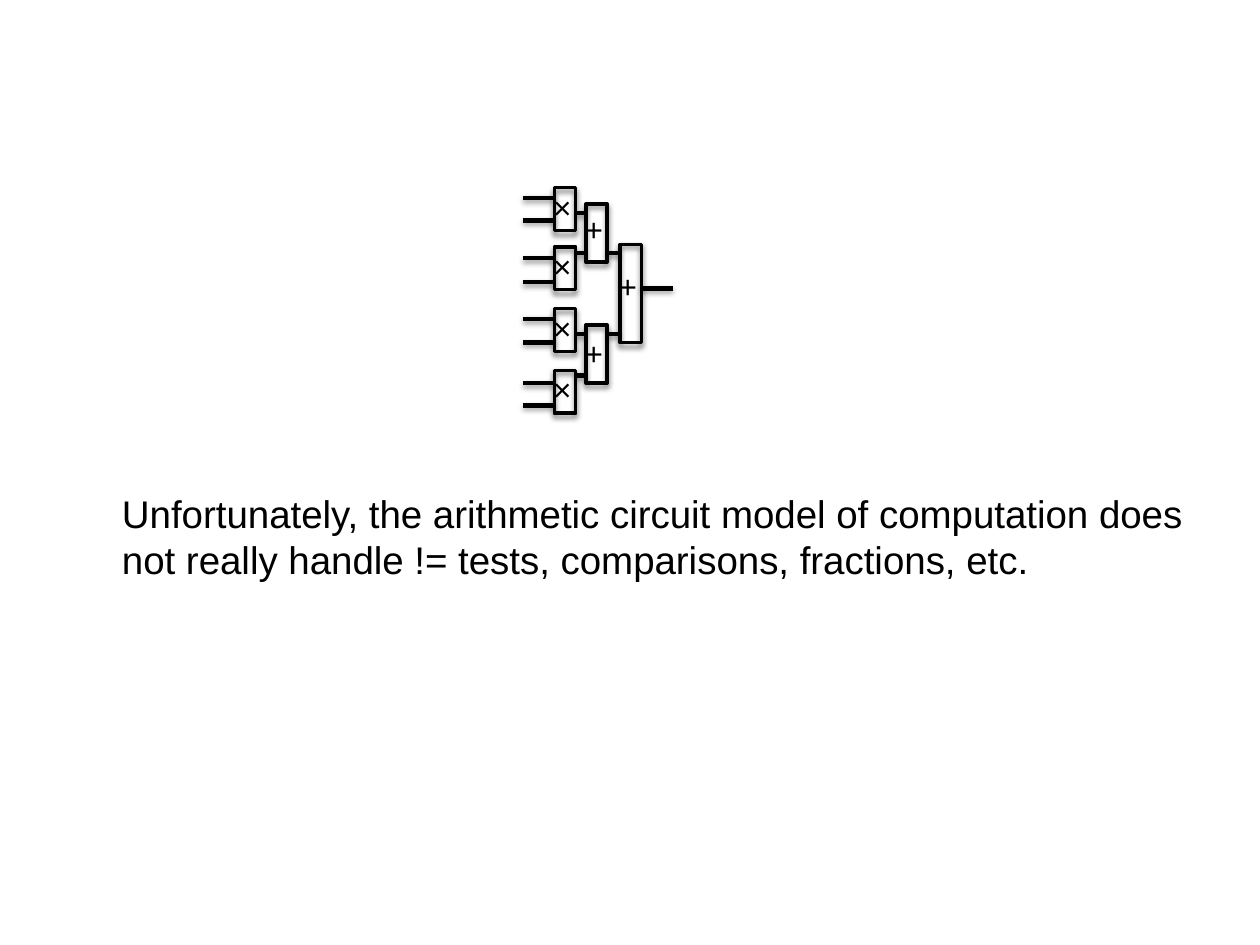
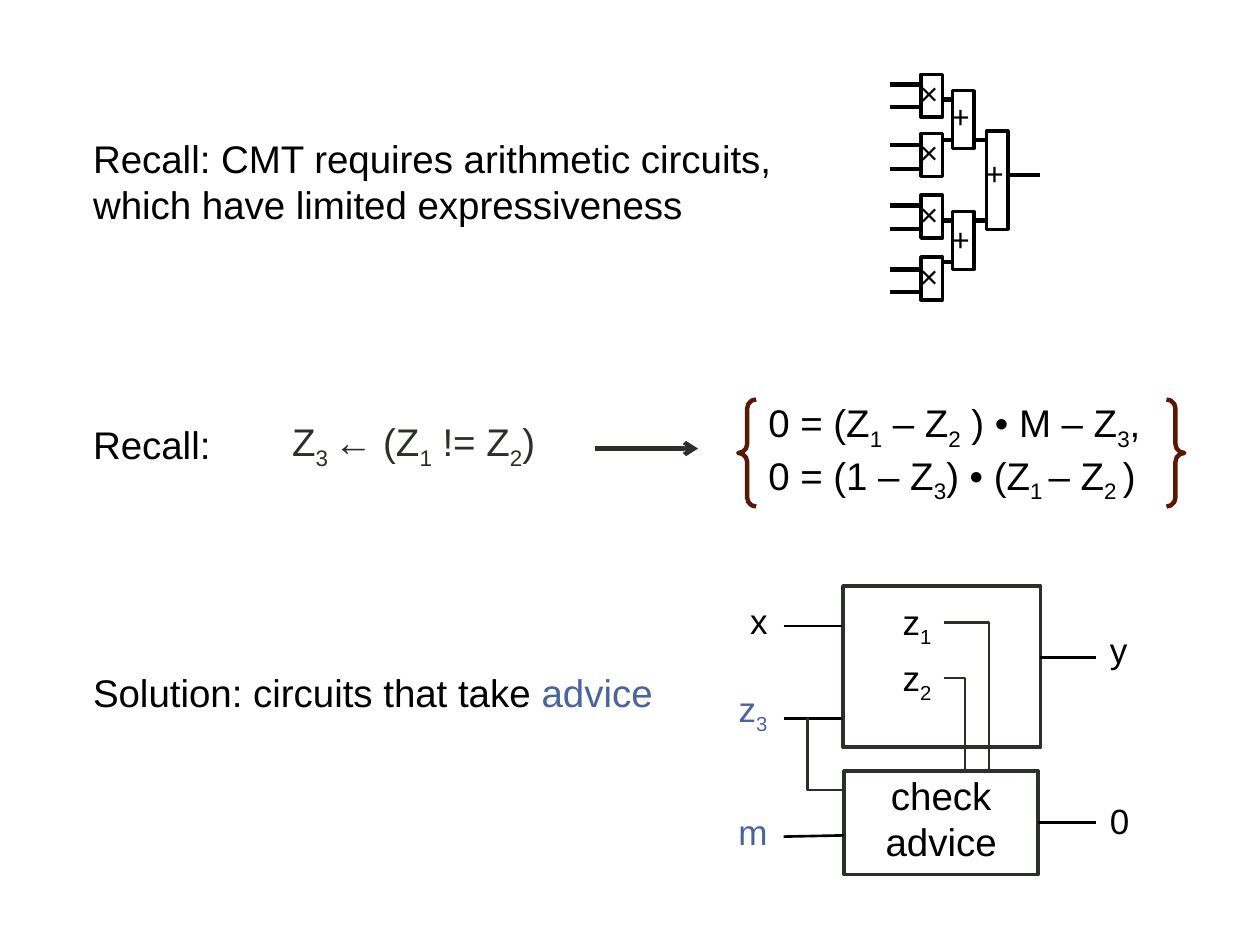
from dataclasses import dataclass

from lxml import etree
from pptx import Presentation
from pptx.dml.color import RGBColor
from pptx.enum.shapes import MSO_CONNECTOR, MSO_SHAPE
from pptx.enum.text import PP_ALIGN
from pptx.oxml.ns import qn
from pptx.util import Inches, Pt

RECT = MSO_SHAPE.RECTANGLE
BRACES = MSO_SHAPE.DOUBLE_BRACE
STRAIGHT, ELBOW = MSO_CONNECTOR.STRAIGHT, MSO_CONNECTOR.ELBOW
LEFT, CENTER, RIGHT = PP_ALIGN.LEFT, PP_ALIGN.CENTER, PP_ALIGN.RIGHT
RIGHT_SIDE = 3


@dataclass(frozen=True)
class Theme:
    font: str = "Arial"
    black: str = "000000"
    dark: str = "2D2F2B"
    advice: str = "4A659A"
    brace: str = "5A1705"
    body: int = 22
    label: int = 20
    symbol: int = 18
    outline: float = 2
    wire: float = 2.5
    thin: float = 1.5


THEME = Theme()
GATE_SHADOW = (50, 3, 2)
WIRE_SHADOW = (38, 3.1, 1.6)

GATE_WIDTH = 0.17
PRODUCT_X, SUM_X, TOTAL_X = 0, 0.25, 0.52
GATES = [
    ("×", PRODUCT_X, 0, 0.34, -0.05),
    ("×", PRODUCT_X, 0.47, 0.34, 0.42),
    ("×", PRODUCT_X, 0.96, 0.34, 0.91),
    ("×", PRODUCT_X, 1.45, 0.34, 1.4),
    ("+", SUM_X, 0.13, 0.46, 0.13),
    ("+", SUM_X, 1.09, 0.46, 1.11),
    ("+", TOTAL_X, 0.45, 0.78, 0.58),
]
WIRES = [
    (-0.25, PRODUCT_X, (0.08, 0.26, 0.56, 0.75, 1.04, 1.23, 1.55, 1.73)),
    (PRODUCT_X + GATE_WIDTH, SUM_X, (0.2, 0.52, 1.16, 1.49)),
    (SUM_X + GATE_WIDTH, TOTAL_X, (0.52, 1.16)),
    (TOTAL_X + GATE_WIDTH, 0.94, (0.8,)),
]

LIMITS = ("Unfortunately, the arithmetic circuit model of computation does "
          "not really handle != tests, comparisons, fractions, etc.")
STATEMENTS = [
    (["Recall: CMT requires arithmetic circuits, which have limited expressiveness"],
     (0.64, 1.02, 5.65, 0.84), THEME.black),
    (["Z|3 |← (Z|1| != Z|2|)"], (2.22, 3.27, 2.59, 0.73), THEME.dark),
    (["0 = (Z|1| – Z|2| ) • M – Z|3|,", "0 = (1 – Z|3|) • (Z|1 |– Z|2 |)"],
     (6, 3.12, 3.43, 1.21), THEME.black),
    (["Recall:"], (0.64, 3.29, 1.62, 0.47), THEME.black),
]
SOLUTION, SOLUTION_ACCENT = "Solution: circuits that take ", "advice"
LABELS = [
    ("x", (5.54, 4.71, 0.65), RIGHT, THEME.black),
    ("z|3", (5.52, 5.41, 0.67), RIGHT, THEME.advice),
    ("m", (5.54, 6.38, 0.65), RIGHT, THEME.advice),
    ("z|1", (6.71, 4.72, 0.78), RIGHT, THEME.black),
    ("z|2", (6.72, 5.16, 0.77), RIGHT, THEME.black),
    ("y", (8.71, 4.94, 0.74), LEFT, THEME.black),
    ("0", (8.71, 6.3, 0.74), LEFT, THEME.black),
]
COMPUTE_BOX = (6.69, 4.65, 1.57, 1.28)
CHECK_BOX = (6.7, 6.12, 1.54, 0.82)
SIGNALS = [
    (6.22, 4.97, 6.68, 4.97),
    (6.22, 5.7, 6.68, 5.7),
    (6.22, 6.64, 6.7, 6.63),
    (8.25, 5.22, 8.7, 5.22),
]
TAPS = [
    (7.49, 4.94, 7.85, 6.13),
    (7.49, 5.38, 7.66, 6.11),
    (6.69, 6.27, 6.41, 5.7),
]


def inches(values):
    return [Inches(value) for value in values]


def add_shadow(shape, shadow):
    effects = shape._element.spPr.find(qn("a:effectLst"))
    if effects is None:
        effects = etree.SubElement(shape._element.spPr, qn("a:effectLst"))
    if shadow:
        opacity, blur, distance = shadow
        outer = etree.SubElement(
            effects, qn("a:outerShdw"), blurRad=str(Pt(blur)),
            dist=str(Pt(distance)), dir="5400000", rotWithShape="0")
        color = etree.SubElement(outer, qn("a:srgbClr"), val=THEME.black)
        etree.SubElement(color, qn("a:alpha"), val=str(opacity * 1000))


def set_line(shape, color, width):
    shape.line.color.rgb = RGBColor.from_string(color)
    shape.line.width = Pt(width)


def add_outline(shapes, kind, place, color, width, shadow=None):
    outline = shapes.add_shape(kind, *inches(place))
    outline.shadow.inherit = False
    outline.fill.background()
    set_line(outline, color, width)
    add_shadow(outline, shadow)
    return outline


def add_wire(shapes, ends, color, width, kind=STRAIGHT, shadow=None):
    wire = shapes.add_connector(kind, *inches(ends))
    set_line(wire, color, width)
    add_shadow(wire, shadow)
    return wire


def add_text(shapes, lines, place, size, color, align=LEFT):
    box = shapes.add_textbox(*inches(place))
    frame = box.text_frame
    frame.word_wrap = True
    for number, line in enumerate(lines):
        paragraph = frame.add_paragraph() if number else frame.paragraphs[0]
        paragraph.alignment = align
        paragraph.font.name = THEME.font
        paragraph.font.size = Pt(size)
        paragraph.font.color.rgb = RGBColor.from_string(color)
        for position, part in enumerate(line.split("|")):
            run = paragraph.add_run()
            run.text = part
            if position % 2:
                run._r.get_or_add_rPr().set("baseline", "-25000")
    return frame


def add_circuit(slide, x, y, shaded):
    shapes = slide.shapes.add_group_shape().shapes
    gate_shadow, wire_shadow = (GATE_SHADOW, WIRE_SHADOW) if shaded else (None, None)
    for start, end, levels in WIRES:
        for level in levels:
            add_wire(shapes, (x + start, y + level, x + end, y + level),
                     THEME.black, THEME.wire, shadow=wire_shadow)
    for symbol, left, top, height, symbol_top in GATES:
        add_outline(shapes, RECT, (x + left, y + top, GATE_WIDTH, height),
                    THEME.black, THEME.outline, gate_shadow)
        frame = add_text(shapes, [symbol],
                         (x + left - 0.08, y + symbol_top, GATE_WIDTH, 0.4),
                         THEME.symbol, THEME.black)
        frame.margin_left, frame.margin_right = Inches(0.07), 0


def build_limits(slide):
    add_circuit(slide, 4.4, 1.49, True)
    add_text(slide.shapes, [LIMITS], (0.87, 3.84, 8.8, 0.84), THEME.body, THEME.black)


def build_advice(slide):
    shapes = slide.shapes
    add_circuit(slide, 7.31, 0.59, False)
    for lines, place, color in STATEMENTS:
        add_text(shapes, lines, place, THEME.body, color)
    solution = add_text(shapes, [SOLUTION], (0.64, 5.26, 4.67, 0.47),
                        THEME.body, THEME.black)
    accent = solution.paragraphs[0].add_run()
    accent.text = SOLUTION_ACCENT
    accent.font.color.rgb = RGBColor.from_string(THEME.advice)

    becomes = add_wire(shapes, (4.72, 3.56, 5.54, 3.56), THEME.dark, THEME.wire)
    etree.SubElement(becomes.line._get_or_add_ln(), qn("a:tailEnd"), type="arrow")
    add_outline(shapes, BRACES, (5.86, 3.17, 3.54, 0.85), THEME.brace, THEME.wire)

    add_outline(shapes, RECT, COMPUTE_BOX, THEME.dark, THEME.outline)
    check = add_outline(shapes, RECT, CHECK_BOX, THEME.dark, THEME.outline)
    add_text(shapes, ["check", "advice"], (6.69, 6.08, 1.56, 0.84),
             THEME.body, THEME.black, CENTER)
    for text, place, align, color in LABELS:
        add_text(shapes, [text], (*place, 0.44), THEME.label, color, align)
    for ends in SIGNALS:
        add_wire(shapes, ends, THEME.black, THEME.thin)
    zero = add_wire(shapes, (8.24, 6.53, 8.7, 6.53), THEME.black, THEME.thin)
    zero.begin_connect(check, RIGHT_SIDE)
    for ends in TAPS:
        tap = add_wire(shapes, ends, THEME.dark, THEME.thin, ELBOW)
        tap._element.spPr.find(qn("a:prstGeom")).set("prst", "bentConnector2")


def main():
    deck = Presentation()
    deck.slide_width, deck.slide_height = Inches(10), Inches(7.5)
    blank = deck.slide_layouts[6]
    for build in (build_limits, build_advice):
        build(deck.slides.add_slide(blank))
    deck.save("out.pptx")


if __name__ == "__main__":
    main()
